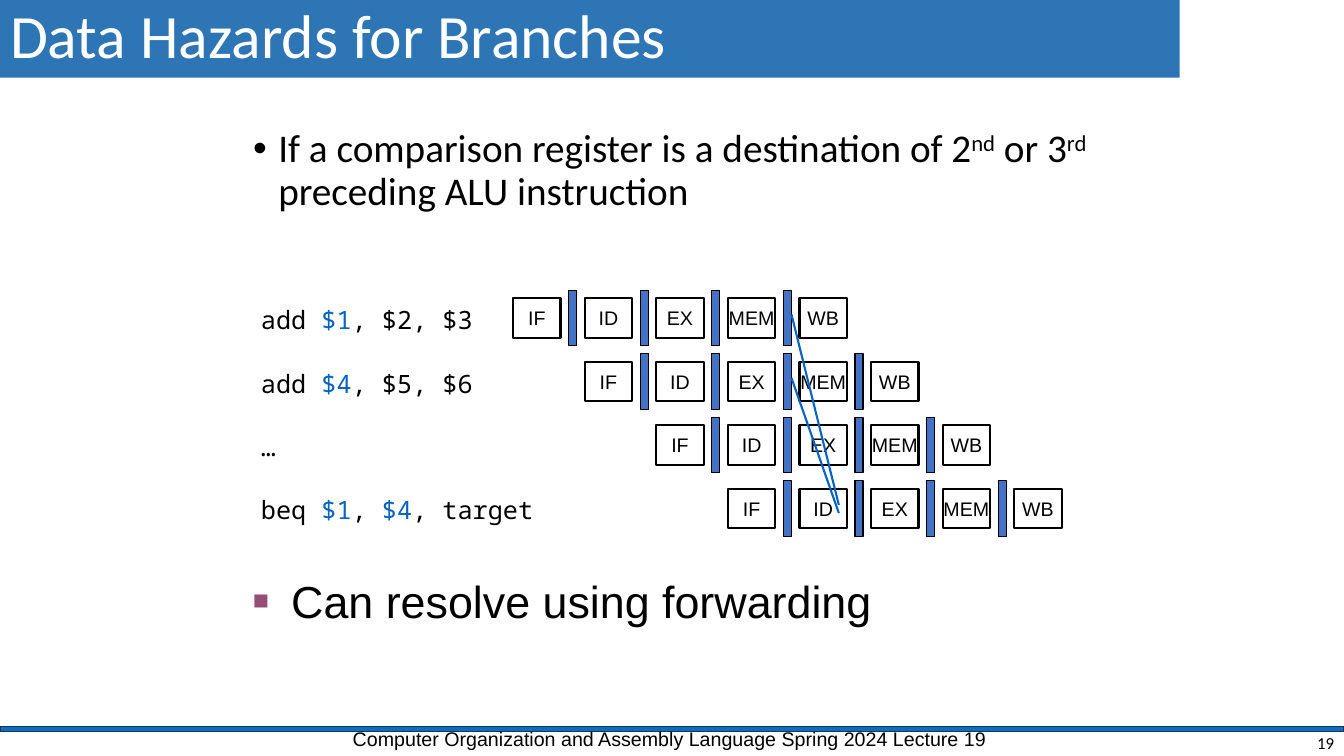
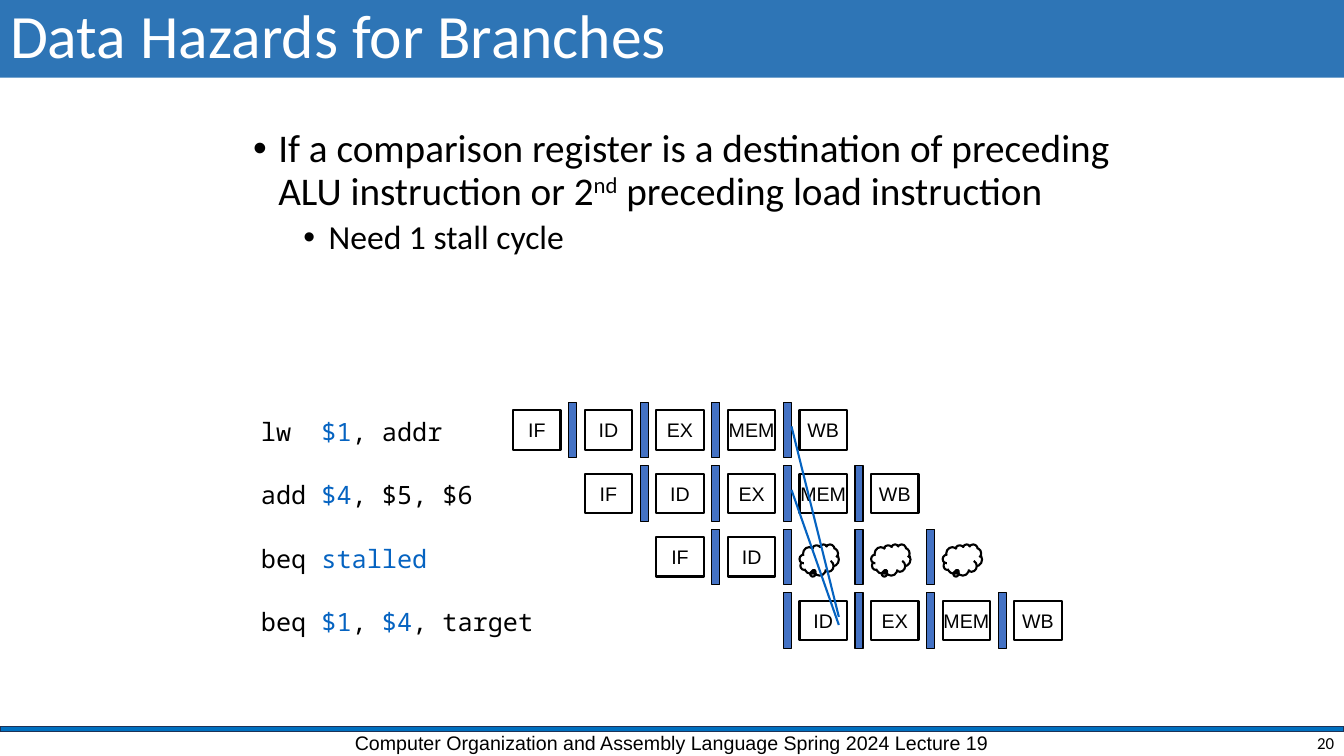
from itertools import cycle

from lxml.etree import SubElement
from pptx import Presentation
from pptx.dml.color import RGBColor
from pptx.enum.shapes import MSO_CONNECTOR, MSO_SHAPE
from pptx.enum.text import MSO_ANCHOR, MSO_AUTO_SIZE, PP_ALIGN
from pptx.oxml.ns import qn
from pptx.util import Inches, Pt

BLACK = RGBColor(0x00, 0x00, 0x00)
WHITE = RGBColor(0xFF, 0xFF, 0xFF)
TITLE_BLUE = RGBColor(0x2E, 0x75, 0xB6)
RULE_BLUE = RGBColor(0x00, 0x70, 0xC0)
RULE_EDGE = RGBColor(0x1E, 0x32, 0x56)
REGISTER_BLUE = RGBColor(0x44, 0x72, 0xC4)
FORWARD_BLUE = RGBColor(0x05, 0x63, 0xC1)
PLUM = RGBColor(0x95, 0x4F, 0x72)

COURSE = "Computer Organization and Assembly Language Spring 2024 Lecture 19"
STAGES = ["IF", "ID", "EX", "MEM", "WB"]
BUBBLE = "bubble"
COLUMN_STEP = 0.71
ROW_STEP = 0.63
FIRST_STAGE_LEFT = 5.09


def write(paragraph, text, size=14, font="Arial", color=BLACK, accent=None,
          raised=False, align=PP_ALIGN.LEFT, spacing=None, before=0):
    """Write text whose parts between bars are accented or raised."""
    paragraph.alignment = align
    paragraph.space_before = Pt(before)
    if spacing:
        paragraph.line_spacing = spacing
    for part, marked in zip(text.split("|"), cycle([False, True])):
        if not part:
            continue
        run = paragraph.add_run()
        run.text = part
        run.font.size = Pt(size)
        run.font.name = font
        run.font.color.rgb = accent if marked and accent else color
        if marked and raised:
            run._r.get_or_add_rPr().set("baseline", "30000")


def add_bullet(paragraph, mark, left, hanging, color=None, percent=None):
    properties = paragraph._p.get_or_add_pPr()
    properties.set("marL", str(Inches(left)))
    properties.set("indent", str(-Inches(hanging)))
    if color is not None:
        bullet_color = SubElement(properties, qn("a:buClr"))
        SubElement(bullet_color, qn("a:srgbClr"), val=str(color))
    if percent:
        SubElement(properties, qn("a:buSzPct"), val=str(percent * 1000))
    SubElement(properties, qn("a:buFont"), typeface="Arial")
    SubElement(properties, qn("a:buChar"), char=mark)


def place(shape, left, top, width, height):
    shape.left, shape.top = Inches(left), Inches(top)
    shape.width, shape.height = Inches(width), Inches(height)


class Deck:
    def __init__(self):
        self.presentation = Presentation()
        self.presentation.slide_width = Inches(13.33)
        self.presentation.slide_height = Inches(7.5)
        self.slide = None

    def start_slide(self, title, number, title_width, footer_at):
        layout = self.presentation.slide_layouts[1]
        self.slide = self.presentation.slides.add_slide(layout)
        self.title(title, title_width)
        self.shape(self.slide.shapes, MSO_SHAPE.RECTANGLE, (0, 7.21, 13.33, 0.05),
                   RULE_EDGE, 1, RULE_BLUE)
        footer = self.text_box(*footer_at, 6.69, 0.31)
        write(footer.paragraphs[0], COURSE)
        page = self.text_box(10.33, 7.24, 3, 0.25)
        page.vertical_anchor = MSO_ANCHOR.MIDDLE
        write(page.paragraphs[0], str(number), size=12, font="Calibri",
              align=PP_ALIGN.RIGHT)

    def title(self, text, width):
        band = self.slide.shapes.title
        place(band, 0, 0, width, 0.77)
        band.fill.solid()
        band.fill.fore_color.rgb = TITLE_BLUE
        frame = band.text_frame
        frame.auto_size = MSO_AUTO_SIZE.NONE
        frame.vertical_anchor = MSO_ANCHOR.MIDDLE
        write(frame.paragraphs[0], text, size=44, font="Calibri", color=WHITE,
              spacing=0.9)

    def body(self, height, statement, detail=None):
        content = self.slide.placeholders[1]
        place(content, 2.41, 1.23, 9.05, height)
        frame = content.text_frame
        frame.auto_size = MSO_AUTO_SIZE.NONE
        add_bullet(frame.paragraphs[0], "•", 0.25, 0.25)
        write(frame.paragraphs[0], statement, size=28, font="Calibri",
              raised=True, spacing=0.9)
        if detail:
            paragraph = frame.add_paragraph()
            paragraph.level = 1
            add_bullet(paragraph, "•", 0.75, 0.25)
            write(paragraph, detail, size=24, font="Calibri", spacing=0.9, before=5)

    def text_box(self, left, top, width, height, wrap=True):
        box = self.slide.shapes.add_textbox(
            Inches(left), Inches(top), Inches(width), Inches(height))
        box.text_frame.word_wrap = wrap
        return box.text_frame

    def shape(self, shapes, kind, area, line_color, line_width, fill=None):
        shape = shapes.add_shape(kind, *map(Inches, area))
        shape.shadow.inherit = False
        shape.line.color.rgb = line_color
        shape.line.width = Pt(line_width)
        if fill is None:
            shape.fill.background()
        else:
            shape.fill.solid()
            shape.fill.fore_color.rgb = fill
        return shape

    def stage(self, shapes, name, left, top):
        if name == BUBBLE:
            cloud = self.shape(shapes, MSO_SHAPE.CLOUD_CALLOUT,
                               (left, top + 0.07, 0.39, 0.31), BLACK, 1.5)
            cloud.adjustments[0], cloud.adjustments[1] = -0.13, 0.36
            return
        box = self.shape(shapes, MSO_SHAPE.RECTANGLE, (left, top, 0.47, 0.39),
                         BLACK, 1.5)
        frame = box.text_frame
        frame.word_wrap = False
        frame.vertical_anchor = MSO_ANCHOR.MIDDLE
        frame.margin_left = frame.margin_right = 0
        write(frame.paragraphs[0], name, align=PP_ALIGN.CENTER)

    def instruction(self, code, top):
        width = 0.2 + 0.15 * len(code.replace("|", ""))
        frame = self.text_box(2.49, top, width, 0.4, wrap=False)
        frame.auto_size = MSO_AUTO_SIZE.SHAPE_TO_FIT_TEXT
        write(frame.paragraphs[0], code, size=18, font="Noto Sans Mono",
              accent=FORWARD_BLUE)

    def forward(self, start_y, end_y):
        path_line = self.slide.shapes.add_connector(
            MSO_CONNECTOR.STRAIGHT, Inches(7.85), Inches(start_y),
            Inches(8.32), Inches(end_y))
        path_line.line.color.rgb = FORWARD_BLUE
        path_line.line.width = Pt(1.5)
        SubElement(path_line._element.spPr, qn("a:effectLst"))

    def pipeline(self, top, instructions):
        for row, (code, stages) in enumerate(instructions):
            row_top = top + row * ROW_STEP
            self.instruction(code, row_top + 0.01)
            row_shapes = self.slide.shapes.add_group_shape().shapes
            for offset, name in enumerate(stages):
                left = FIRST_STAGE_LEFT + (row + offset) * COLUMN_STEP
                if name:
                    self.stage(row_shapes, name, left, row_top)
                if offset < len(stages) - 1:
                    self.shape(row_shapes, MSO_SHAPE.RECTANGLE,
                               (left + 0.55, row_top - 0.08, 0.08, 0.55),
                               BLACK, 0.75, REGISTER_BLUE)
        self.forward(top + 0.16, top + 2.05)
        self.forward(top + 0.16 + ROW_STEP, top + 2.13)

    def conclusion(self, text):
        frame = self.text_box(2.41, 5.64, 8.5, 0.71)
        add_bullet(frame.paragraphs[0], "■", 0.38, 0.38, PLUM, 60)
        write(frame.paragraphs[0], text, size=32)


def main():
    deck = Deck()

    deck.start_slide("Data Hazards for Branches", 19, 11.7, (3.4, 7.16))
    deck.body(1.34, "If a comparison register is a destination of 2|nd| or 3|rd|"
                    " preceding ALU instruction")
    deck.pipeline(2.96, [
        ("add |$1|, $2, $3", STAGES),
        ("add |$4|, $5, $6", STAGES),
        ("…", STAGES),
        ("beq |$1|, |$4|, target", STAGES),
    ])
    deck.conclusion("Can resolve using forwarding")

    deck.start_slide("Data Hazards for Branches", 20, 13.33, (3.42, 7.2))
    deck.body(2.6, "If a comparison register is a destination of preceding ALU"
                   " instruction or 2|nd| preceding load instruction",
              "Need 1 stall cycle")
    deck.pipeline(4.07, [
        ("lw  |$1|, addr", STAGES),
        ("add |$4|, $5, $6", STAGES),
        ("beq |stalled|", STAGES[:2] + [BUBBLE] * 3),
        ("beq |$1|, |$4|, target", [None] + STAGES[1:]),
    ])

    deck.presentation.save("out.pptx")


if __name__ == "__main__":
    main()
